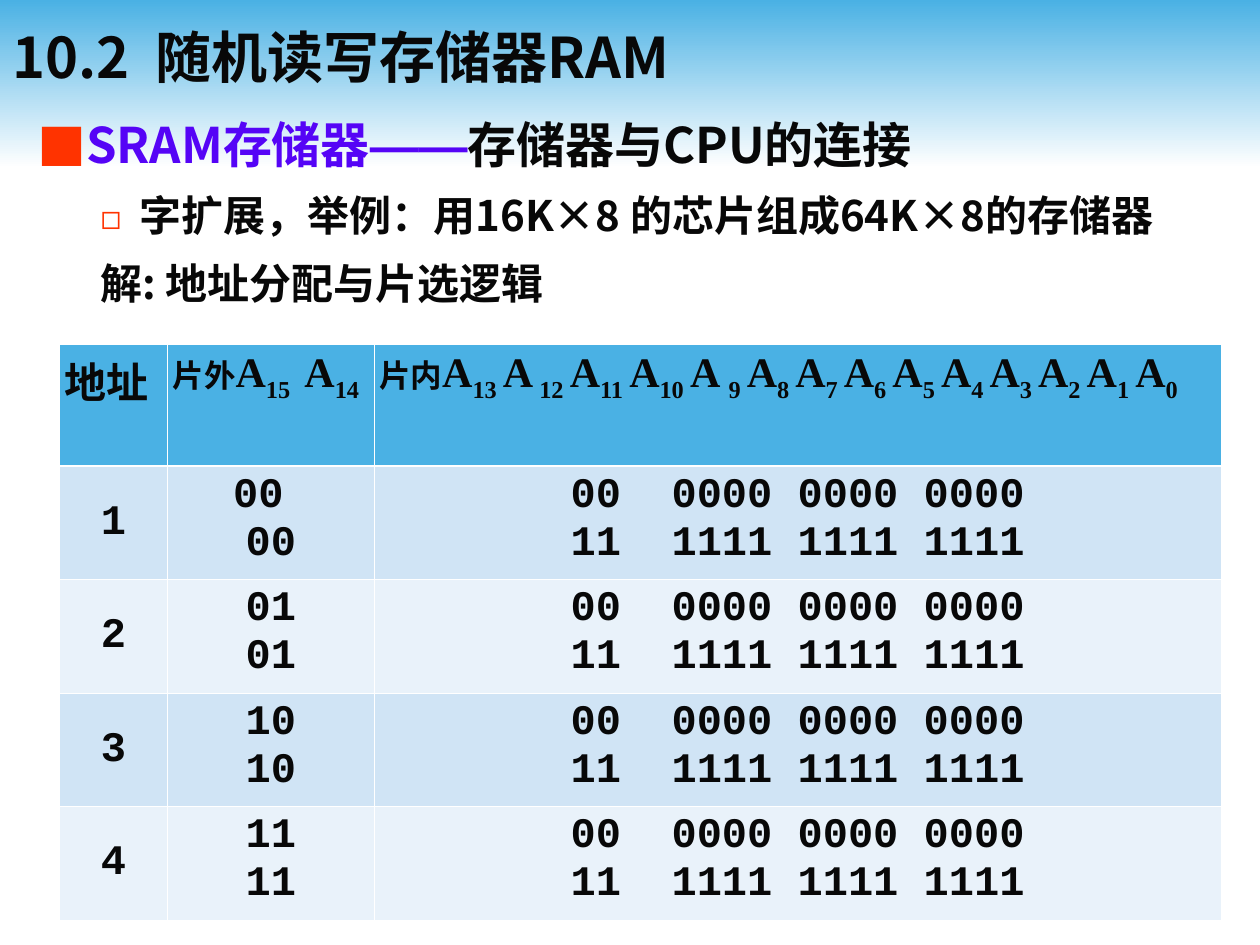
from pptx import Presentation, util as u
from pptx.dml.color import RGBColor
from pptx.enum import shapes, text
from pptx.oxml import parse_xml
from pptx.oxml.ns import nsdecls

# Content
COLORS = {"sky": "4AB1E4", "white": "FFFFFF", "ink": "080808", "violet": "5504F6",
          "bullet": "FF3300", "odd": "D0E4F5", "even": "E9F2FA"}
CJK, SERIF, MONO = "Noto Sans CJK JP", "Times New Roman", "Courier New"
TITLE = "10.2  随机读写存储器RAM"
# Each line: runs of (text, font, colour), size, indents, space before, bullet
BODY = [
    dict(runs=[("SRAM存储器", CJK, "violet"), ("——", "Arial", "violet"),
               ("存储器与CPU的连接", CJK, "ink")],
         size=28, left=0.38, first=-0.38, before=0, bullet="■", bullet_size=100),
    dict(runs=[("字扩展，举例：用16K×8 的芯片组成64K×8的存储器", CJK, "ink")],
         size=24, left=0.81, first=-0.31, before=12.5, bullet="◻", bullet_size=80),
    dict(runs=[("解: 地址分配与片选逻辑", CJK, "ink")],
         size=24, left=0.81, first=-0.31, before=12.5, bullet=None),
]
# Header cells: label, label size, address lines as (letter, subscript)
HEADER = [
    ("地址", 24, []),
    ("片外", 18, [("A", "15 "), (" A", "14")]),
    ("片内", 18, [("A", "13 "), ("A", " 12 "), ("A", "11 "), ("A", "10 "), ("A ", "9 ")]
     + [("A", f"{n} ") for n in range(8, 0, -1)] + [("A", "0")]),
]
CHIP_SELECT = [("00 ", "00"), ("01", "01"), ("10", "10"), ("11", "11")]
CHIP_RANGE = ("00  0000 0000 0000", "11  1111 1111 1111")
COLUMNS = [0.86, 1.64, 6.72]
ROWS = [0.97] + [0.9] * len(CHIP_SELECT)
THIN, THICK = 0.45, 1.47


def rgb(name):
    return RGBColor.from_string(COLORS[name])


def add_run(paragraph, words, size, font, color="ink", east=CJK, baseline=0):
    run = paragraph.add_run()
    run.text = words
    for key, value in dict(size=u.Pt(size), name=font, bold=True).items():
        setattr(run.font, key, value)
    run.font.color.rgb = rgb(color)
    props = run.font._element
    if baseline:
        props.set("baseline", str(baseline * 1000))
    props.append(parse_xml(f'<a:ea {nsdecls("a")} typeface="{east}"/>'))


def add_frame(left, top, width, height, anchor):
    frame = slide.shapes.add_textbox(*map(u.Inches, (left, top, width, height))).text_frame
    frame.word_wrap = True
    frame.vertical_anchor = anchor
    return frame


def set_bullet(paragraph, line):
    props = paragraph._p.get_or_add_pPr()
    props.set("marL", str(u.Inches(line["left"])))
    props.set("indent", str(u.Inches(line["first"])))
    if not line["bullet"]:
        props.append(parse_xml(f'<a:buNone {nsdecls("a")}/>'))
        return
    for tag in (f'<a:buClr {nsdecls("a")}><a:srgbClr val="{COLORS["bullet"]}"/></a:buClr>',
                f'<a:buSzPct {nsdecls("a")} val="{line["bullet_size"] * 1000}"/>',
                f'<a:buFont {nsdecls("a")} typeface="{CJK}"/>',
                f'<a:buChar {nsdecls("a")} char="{line["bullet"]}"/>'):
        props.append(parse_xml(tag))


def style_cell(cell, fill, side, anchor, top, bottom):
    for key, value in dict(margin_left=side, margin_right=side, margin_top=0.05,
                           margin_bottom=0.05).items():
        setattr(cell, key, u.Inches(value))
    cell.vertical_anchor = anchor
    props = cell._tc.get_or_add_tcPr()
    for edge, width in (("lnL", THIN), ("lnR", THIN), ("lnT", top), ("lnB", bottom)):
        props.append(parse_xml(
            f'<a:{edge} {nsdecls("a")} w="{u.Pt(width)}"><a:solidFill>'
            f'<a:srgbClr val="{COLORS["white"]}"/></a:solidFill></a:{edge}>'))
    cell.fill.solid()
    cell.fill.fore_color.rgb = rgb(fill)


prs = Presentation()
prs.slide_width, prs.slide_height = u.Inches(10), u.Inches(7.5)
slide = prs.slides.add_slide(prs.slide_layouts[6])

# Gradient band
band = slide.shapes.add_shape(shapes.MSO_SHAPE.RECTANGLE, 0, 0, prs.slide_width, u.Inches(1.33))
band.shadow.inherit = False
band.line.fill.background()
band.fill.gradient()
band.fill.gradient_angle = 270
for stop, (color, place) in zip(band.fill.gradient_stops, (("sky", 0), ("white", 1))):
    stop.color.rgb = rgb(color)
    stop.position = place

# Title
title = add_frame(0, 0.05, 10, 0.79, text.MSO_ANCHOR.MIDDLE)
add_run(title.paragraphs[0], TITLE, 32, CJK)

# Body lines
body = add_frame(0.2, 0.91, 9.53, 1.8, text.MSO_ANCHOR.TOP)
for i, line in enumerate(BODY):
    paragraph = body.add_paragraph() if i else body.paragraphs[0]
    set_bullet(paragraph, line)
    paragraph.line_spacing = 0.9
    paragraph.space_before = u.Pt(line["before"])
    for words, font, color in line["runs"]:
        add_run(paragraph, words, line["size"], font, color, east=font)

# Address table
address = slide.shapes.add_table(len(ROWS), len(COLUMNS), *map(
    u.Inches, (0.47, 2.73, sum(COLUMNS), sum(ROWS)))).table
for column, width in zip(address.columns, COLUMNS):
    column.width = u.Inches(width)
for row, height in zip(address.rows, ROWS):
    row.height = u.Inches(height)

for c, (label, size, lines) in enumerate(HEADER):
    cell = address.cell(0, c)
    style_cell(cell, "sky", 0.04, text.MSO_ANCHOR.TOP, THIN, THICK)
    paragraph = cell.text_frame.paragraphs[0]
    add_run(paragraph, label, size, SERIF)
    for letter, subscript in lines:
        add_run(paragraph, letter, 24, SERIF)
        add_run(paragraph, subscript, 24, SERIF, baseline=-25)

for r, select in enumerate(CHIP_SELECT, 1):
    for c, entries in enumerate(((str(r),), select, CHIP_RANGE)):
        cell = address.cell(r, c)
        style_cell(cell, "odd" if r % 2 else "even", 0.1,
                   text.MSO_ANCHOR.TOP if c else text.MSO_ANCHOR.MIDDLE,
                   THICK if r == 1 else THIN, THIN)
        for i, entry in enumerate(entries):
            frame = cell.text_frame
            paragraph = frame.add_paragraph() if i else frame.paragraphs[0]
            paragraph.alignment = text.PP_ALIGN.CENTER
            add_run(paragraph, entry, 24, MONO)

prs.save("out.pptx")
